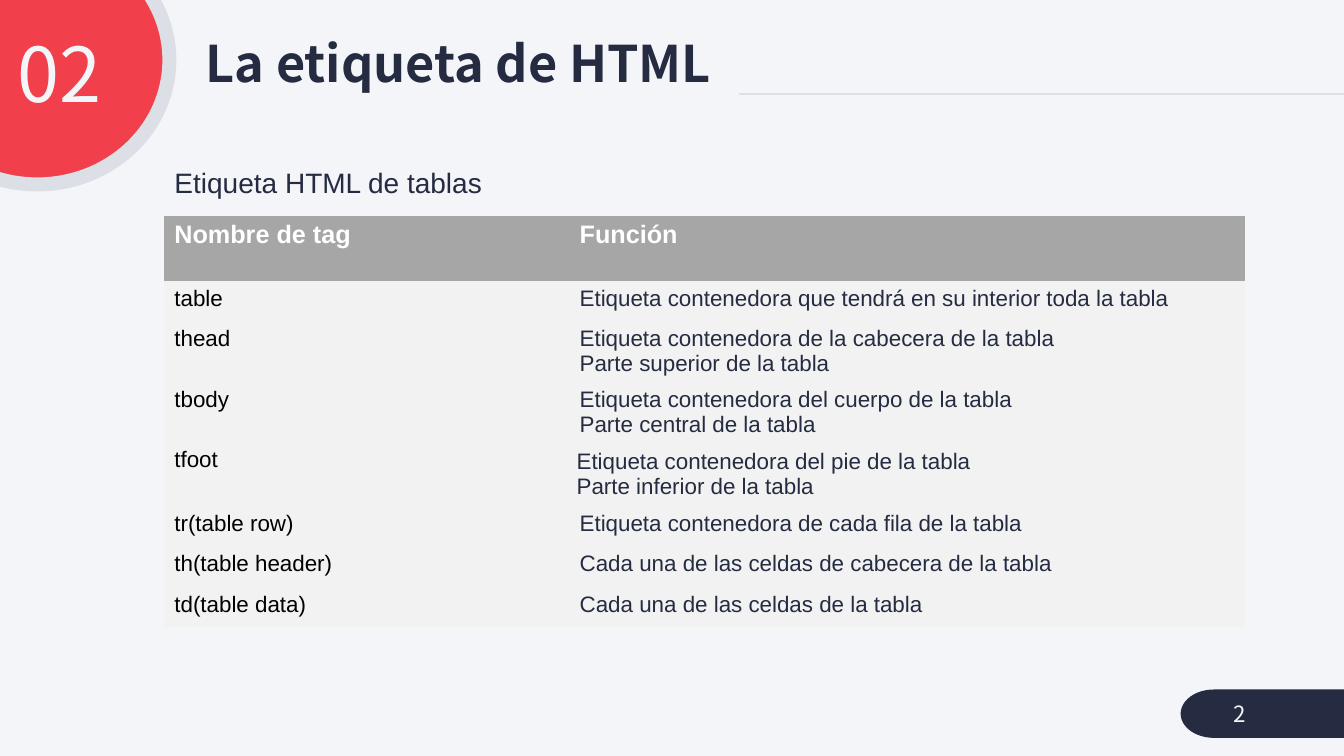
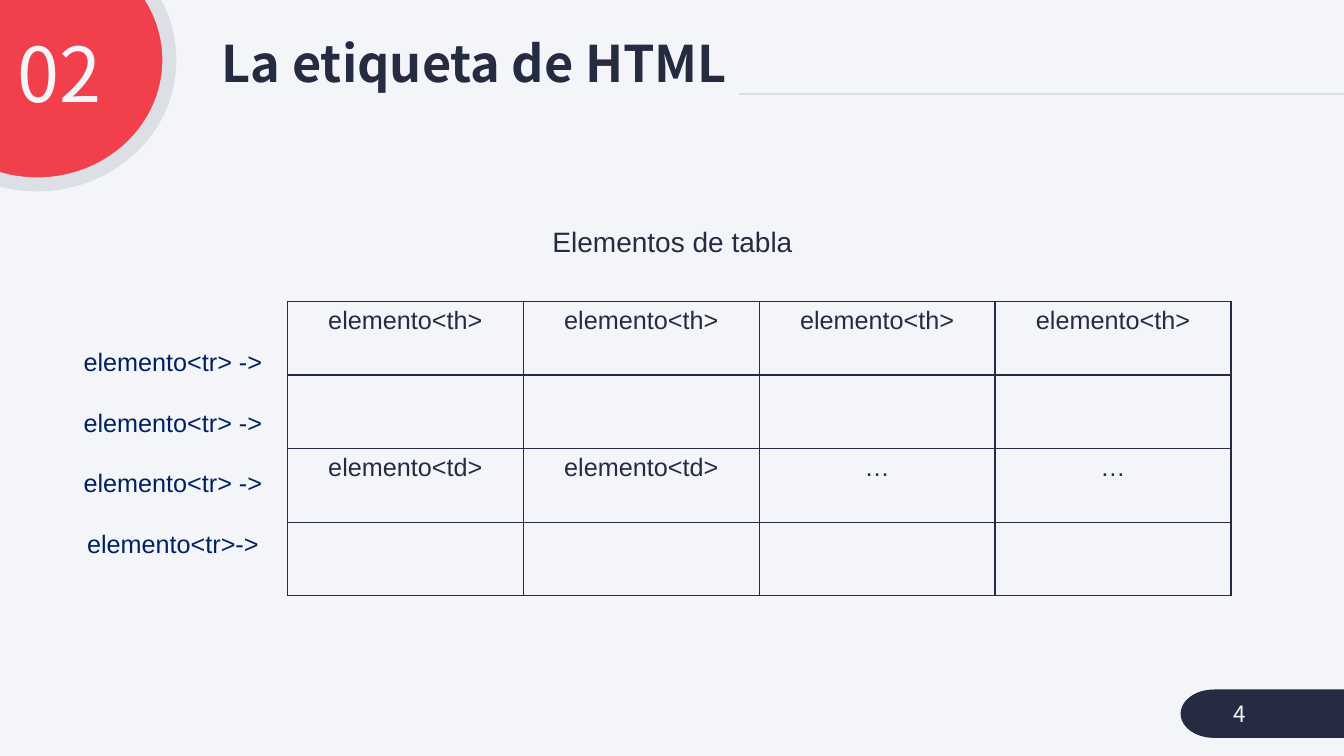
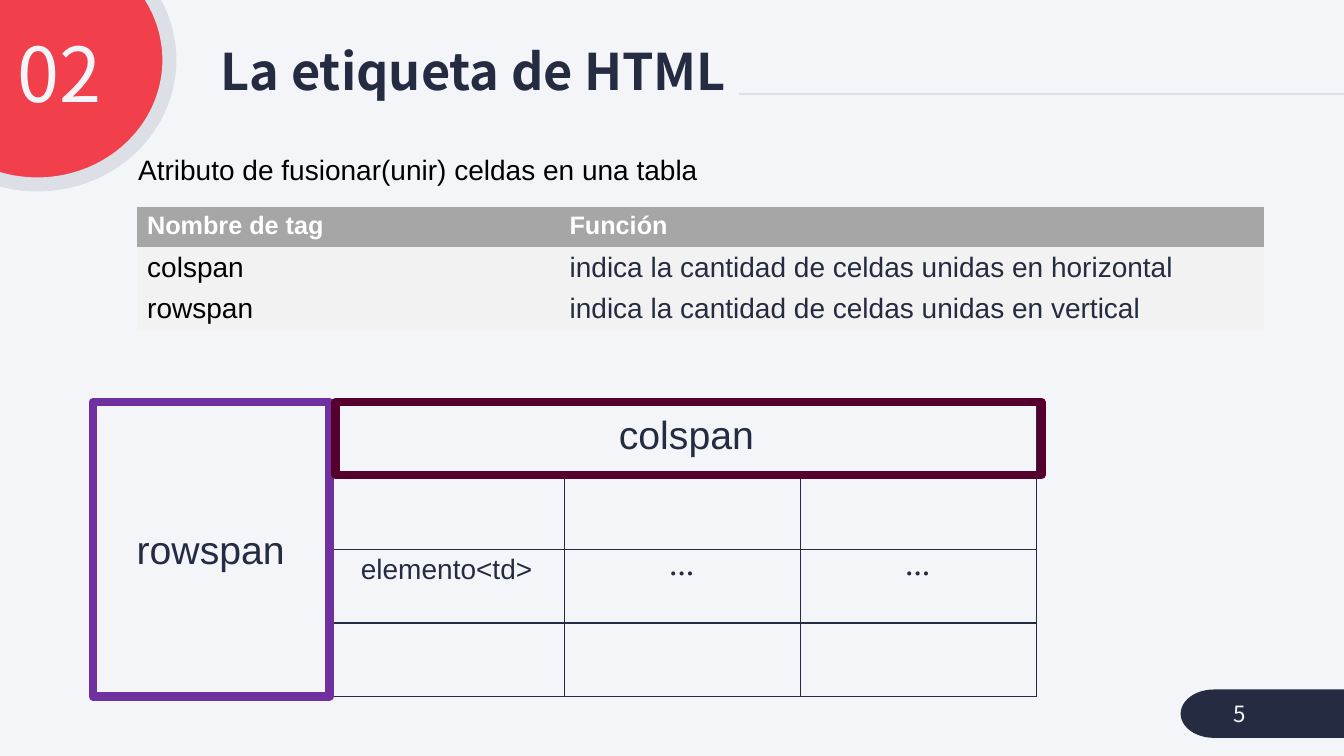
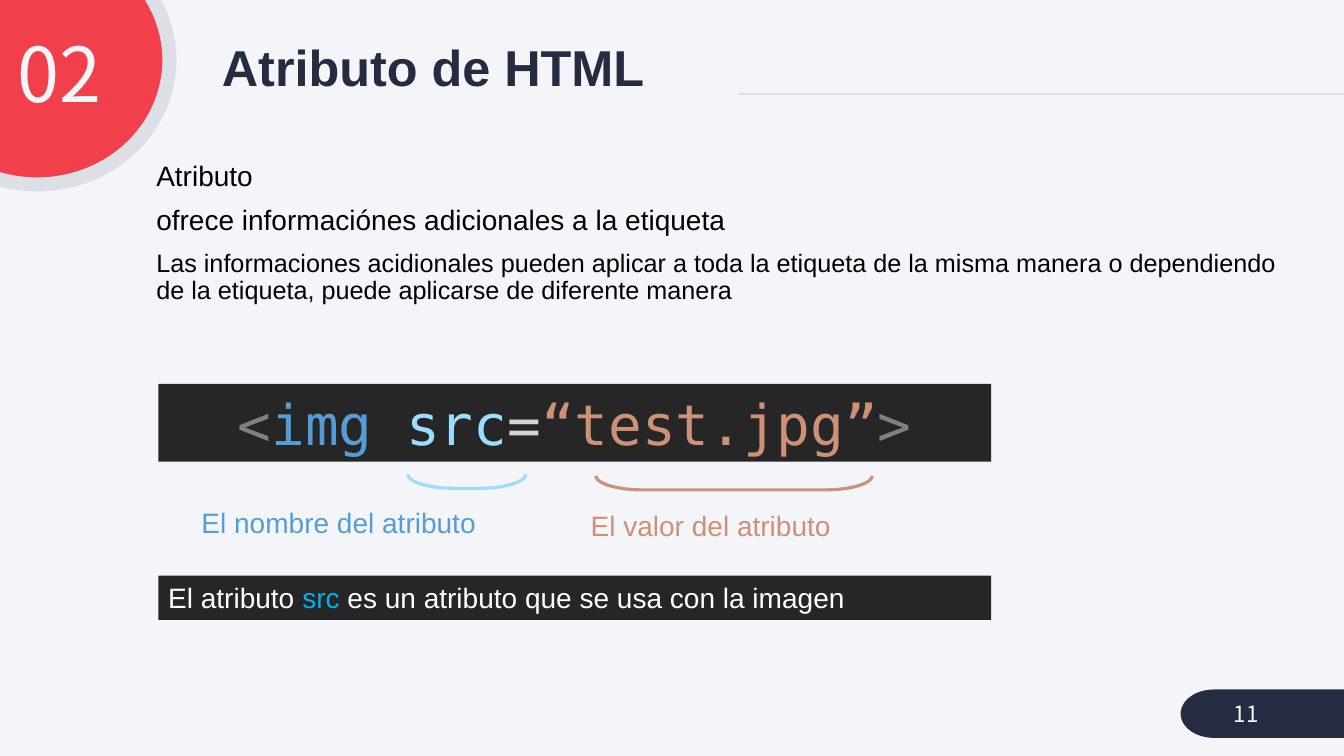
import pptx
import pptx.util
import pptx.dml.color
import pptx.enum.shapes
import pptx.enum.text
import pptx.oxml.ns
from lxml import etree

Inches = pptx.util.Inches
Pt = pptx.util.Pt
RGBColor = pptx.dml.color.RGBColor
MSO_SHAPE = pptx.enum.shapes.MSO_SHAPE
PP_ALIGN = pptx.enum.text.PP_ALIGN
MSO_ANCHOR = pptx.enum.text.MSO_ANCHOR
qn = pptx.oxml.ns.qn

PAPER = RGBColor(0xF4, 0xF5, 0xF9)
NAVY = RGBColor(0x25, 0x2C, 0x41)
RED = RGBColor(0xF1, 0x40, 0x4B)
MIST = RGBColor(0xDD, 0xDF, 0xE6)
BLACK = RGBColor(0x00, 0x00, 0x00)
WHITE = RGBColor(0xFF, 0xFF, 0xFF)
HEADER_GRAY = RGBColor(0xA6, 0xA6, 0xA6)
ROW_GRAY = RGBColor(0xF2, 0xF2, 0xF2)
ROW_LABEL_BLUE = RGBColor(0x00, 0x20, 0x60)
PURPLE = RGBColor(0x70, 0x30, 0xA0)
MAROON = RGBColor(0x56, 0x00, 0x2D)
CODE_BACK = RGBColor(0x26, 0x26, 0x26)
CODE_GRAY = RGBColor(0x80, 0x80, 0x80)
CODE_TAG = RGBColor(0x56, 0x9C, 0xD6)
CODE_NAME = RGBColor(0x9C, 0xDC, 0xFE)
CODE_EQUAL = RGBColor(0xD4, 0xD4, 0xD4)
CODE_VALUE = RGBColor(0xCE, 0x91, 0x78)
SRC_BLUE = RGBColor(0x00, 0xB0, 0xF0)

NOTO = "Noto Sans CJK KR"
ARIAL = "Arial"
MONO = "DejaVu Sans Mono"
NO_GRID_STYLE = "{2D5ABB26-0587-4C30-8999-92F81FD0307C}"


def write(frame, text, size=20, color=NAVY, font=ARIAL, bold=False, align=PP_ALIGN.LEFT,
          spacing=None, before=None, anchor=None, wrap=True):
    frame.word_wrap = wrap
    frame.auto_size = pptx.enum.text.MSO_AUTO_SIZE.NONE
    if anchor is not None:
        frame.vertical_anchor = anchor
    lines = text.split("\n") if isinstance(text, str) else text
    for index, line in enumerate(lines):
        paragraph = frame.add_paragraph() if index else frame.paragraphs[0]
        paragraph.alignment = align
        paragraph.line_spacing = spacing
        paragraph.space_before = before
        for words, shade in [(line, color)] if isinstance(line, str) else line:
            run = paragraph.add_run()
            run.text = words
            run.font.size = Pt(size)
            run.font.name = font
            run.font.bold = bold
            run.font.color.rgb = shade


def place_table(slide, left, top, widths, heights, rows, size, grid=False):
    frame = slide.shapes.add_table(len(heights), len(widths), Inches(left), Inches(top),
                                   Inches(sum(widths)), Inches(sum(heights)))
    frame.element.find(".//" + qn("a:tableStyleId")).text = NO_GRID_STYLE
    table = frame.table
    for column, width in zip(table.columns, widths):
        column.width = Inches(width)
    for r, height in enumerate(heights):
        table.rows[r].height = Inches(height)
        for c, text in enumerate(rows[r]):
            cell = table.cell(r, c)
            if grid:
                for side in ("a:lnL", "a:lnR", "a:lnT", "a:lnB"):
                    border = etree.SubElement(cell._tc.get_or_add_tcPr(), qn(side), w="12700")
                    fill = etree.SubElement(border, qn("a:solidFill"))
                    etree.SubElement(fill, qn("a:srgbClr"), val=str(NAVY))
                cell.fill.background()
                if text:
                    write(cell.text_frame, text, size=size, align=PP_ALIGN.CENTER)
            else:
                cell.fill.solid()
                cell.fill.fore_color.rgb = ROW_GRAY if r else HEADER_GRAY
                if r:
                    write(cell.text_frame, text, size=size, color=NAVY if c else BLACK)
                else:
                    write(cell.text_frame, text, size=18, color=WHITE, bold=True)
    return table


prs = pptx.Presentation()
prs.slide_width = Inches(13.33)
prs.slide_height = Inches(7.5)

first_level = prs.slide_master.element.find(".//" + qn("p:bodyStyle") + "/" + qn("a:lvl1pPr"))
first_level.set("marL", "0")
first_level.set("indent", "0")
bullet = first_level.find(qn("a:buChar"))
first_level.replace(bullet, etree.Element(qn("a:buNone")))

layout = prs.slide_layouts[3]
layout.background.fill.solid()
layout.background.fill.fore_color.rgb = PAPER
for placeholder in list(layout.placeholders)[3:]:
    layout.shapes.element.remove(placeholder.element)

HTML_TITLE = "La etiqueta de HTML"
pages = [
    (HTML_TITLE, NOTO, 1.94, 0.32, "2", 1.63, 1.63),
    (HTML_TITLE, NOTO, 2.1, 0.32, "4", 0.92, 2.21),
    (HTML_TITLE, NOTO, 2.09, 0.4, "5", 1.27, 1.5),
    ("Atributo de HTML", ARIAL, 2.1, 0.36, "11", 1.45, 1.56),
]
slides = []
for title, title_font, title_left, title_top, number, body_left, body_top in pages:
    slide = prs.slides.add_slide(layout)
    slides.append(slide)
    heading, chapter, body = slide.placeholders
    for part, left, top, width, height in [
        (heading, title_left, title_top, 7, 0.67),
        (chapter, -0.11, 0.32, 1.22, 0.92),
        (body, body_left, body_top, 11.5, 4.76),
    ]:
        part.left, part.top = Inches(left), Inches(top)
        part.width, part.height = Inches(width), Inches(height)
    write(heading.text_frame, title, size=36, font=title_font, bold=True, spacing=0.9,
          anchor=MSO_ANCHOR.MIDDLE)
    write(chapter.text_frame, "02", size=54, color=PAPER, font=NOTO, align=PP_ALIGN.RIGHT,
          spacing=0.9, before=Pt(10))
    page_number = slide.shapes.add_textbox(Inches(12.14), Inches(6.88), Inches(1.09), Inches(0.4))
    write(page_number.text_frame, number, size=16, color=PAPER, font=NOTO,
          anchor=MSO_ANCHOR.MIDDLE)

tags_slide, elements_slide, merge_slide, attribute_slide = slides

title_rule = tags_slide.shapes.add_connector(
    pptx.enum.shapes.MSO_CONNECTOR.STRAIGHT, Inches(7.33), Inches(0.93), Inches(13.33), Inches(0.93))
title_rule.line.color.rgb = MIST
title_rule.line.width = Pt(1.5)
etree.SubElement(title_rule.element.spPr, qn("a:effectLst"))
chapter_disc = tags_slide.shapes.add_shape(
    MSO_SHAPE.OVAL, Inches(-0.94), Inches(-0.64), Inches(2.62), Inches(2.47))
chapter_disc.line.color.rgb = MIST
chapter_disc.line.width = Pt(10)
number_tab = tags_slide.shapes.add_shape(
    MSO_SHAPE.FLOWCHART_TERMINATOR, Inches(11.71), Inches(6.84), Inches(2.05), Inches(0.48))
number_tab.line.fill.background()
for part, color in [(chapter_disc, RED), (number_tab, NAVY)]:
    part.shadow.inherit = False
    part.fill.solid()
    part.fill.fore_color.rgb = color
for position, part in enumerate([title_rule, chapter_disc, number_tab], start=2):
    layout.shapes.element.insert(position, part.element)

write(tags_slide.placeholders[2].text_frame, "Etiqueta HTML de tablas", spacing=0.9, before=Pt(10))
tags = [
    ("Nombre de tag", "Función"),
    ("table", "Etiqueta contenedora que tendrá en su interior toda la tabla"),
    ("thead", "Etiqueta contenedora de la cabecera de la tabla\nParte superior de la tabla"),
    ("tbody", "Etiqueta contenedora del cuerpo de la tabla\nParte central de la tabla"),
    ("tfoot", "Etiqueta contenedora del pie de la tabla\nParte inferior de la tabla"),
    ("tr(table row)", "Etiqueta contenedora de cada fila de la tabla"),
    ("th(table header)", "Cada una de las celdas de cabecera de la tabla"),
    ("td(table data)", "Cada una de las celdas de la tabla"),
]
tag_table = place_table(tags_slide, 1.63, 2.14, [4.02, 6.7],
                        [0.65, 0.4, 0.6, 0.6, 0.62, 0.4, 0.4, 0.4], tags, 16)
foot_cell = tag_table.cell(4, 1)
foot_cell.vertical_anchor = MSO_ANCHOR.MIDDLE
foot_cell.margin_left = foot_cell.margin_right = Inches(0.07)
foot_cell.margin_top = foot_cell.margin_bottom = Inches(0.07)

write(elements_slide.placeholders[2].text_frame, "Elementos de tabla", align=PP_ALIGN.CENTER,
      spacing=0.9, before=Pt(10))
row_labels = elements_slide.shapes.add_textbox(Inches(0.63), Inches(3.09), Inches(2.17), Inches(2.93))
write(row_labels.text_frame, ["elemento<tr> ->"] * 3 + ["elemento<tr>->"], size=18,
      color=ROW_LABEL_BLUE, align=PP_ALIGN.CENTER, spacing=2.0)
grid_columns = [2.34] * 4
grid_rows = [0.73] * 4
blank = [""] * 4
place_table(elements_slide, 2.85, 2.99, grid_columns, grid_rows,
            [["elemento<th>"] * 4, blank, ["elemento<td>"] * 2 + ["…"] * 2, blank], 18, grid=True)

write(merge_slide.placeholders[2].text_frame, "Atributo de fusionar(unir) celdas en una tabla",
      color=BLACK, spacing=0.9, before=Pt(10))
spans = [
    ("Nombre de tag", "Función"),
    ("colspan", "indica la cantidad de celdas unidas en horizontal"),
    ("rowspan", "indica la cantidad de celdas unidas en vertical"),
]
place_table(merge_slide, 1.36, 2.05, [4.19, 6.99], [0.4] * 3, spans, 20)
merged_grid = place_table(merge_slide, 0.92, 3.99, grid_columns, grid_rows,
                          [blank, blank, ["", "elemento<td>", "", ""], blank], 20, grid=True)
merged_grid.cell(0, 0).merge(merged_grid.cell(3, 0))
merged_grid.cell(0, 1).merge(merged_grid.cell(0, 3))
for column in (2, 3):
    write(merged_grid.cell(2, column).text_frame, "…", size=18, font=NOTO, bold=True,
          align=PP_ALIGN.CENTER)
for label, color, outline_box, label_box, align in [
    ("rowspan", PURPLE, (0.92, 3.99, 2.35, 2.92), (1.01, 5.16, 2.16, 0.57), PP_ALIGN.CENTER),
    ("colspan", MAROON, (3.33, 3.99, 7, 0.72), (6.04, 4.02, 2.57, 0.57), PP_ALIGN.LEFT),
]:
    outline = merge_slide.shapes.add_shape(MSO_SHAPE.RECTANGLE, *map(Inches, outline_box))
    outline.shadow.inherit = False
    outline.fill.background()
    outline.line.color.rgb = color
    outline.line.width = Pt(6)
    span_label = merge_slide.shapes.add_textbox(*map(Inches, label_box))
    write(span_label.text_frame, label, size=28, align=align)

explanation = attribute_slide.placeholders[2].text_frame
write(explanation, [
    "Atributo",
    "ofrece informaciónes adicionales a la etiqueta",
    "Las informaciones acidionales pueden aplicar a toda la etiqueta de la misma manera o "
    "dependiendo de la etiqueta, puede aplicarse de diferente manera",
], color=BLACK, spacing=0.9, before=Pt(10))
explanation.paragraphs[2].runs[0].font.size = Pt(18)

code = [("<", CODE_GRAY), ("img ", CODE_TAG), ("src", CODE_NAME), ("=", CODE_EQUAL),
        ("“test.jpg”", CODE_VALUE), (">", CODE_GRAY)]
remark = [("El atributo ", WHITE), ("src", SRC_BLUE),
          (" es un atributo que se usa con la imagen", WHITE)]
for runs, top, height, size, font, align in [
    (code, 3.81, 0.77, 40, MONO, PP_ALIGN.CENTER),
    (remark, 5.71, 0.44, 20, ARIAL, PP_ALIGN.LEFT),
]:
    bar = attribute_slide.shapes.add_shape(
        MSO_SHAPE.RECTANGLE, Inches(1.57), Inches(top), Inches(8.26), Inches(height))
    bar.shadow.inherit = False
    bar.fill.solid()
    bar.fill.fore_color.rgb = CODE_BACK
    bar.line.fill.background()
    write(bar.text_frame, [runs], size=size, font=font, align=align)

for label, bracket_color, label_color, bracket_box, label_box in [
    ("El nombre del atributo", CODE_NAME, CODE_TAG, (4.56, 4.19, 0.14, 1.17), (1.9, 4.97, 2.94, 0.44)),
    ("El valor del atributo", CODE_VALUE, CODE_VALUE, (7.21, 3.42, 0.14, 2.74), (5.76, 5, 2.6, 0.44)),
]:
    bracket = attribute_slide.shapes.add_shape(MSO_SHAPE.LEFT_BRACKET, *map(Inches, bracket_box))
    bracket.rotation = 270
    bracket.adjustments[0] = 3.35
    bracket.shadow.inherit = False
    bracket.fill.background()
    bracket.line.color.rgb = bracket_color
    bracket.line.width = Pt(2.25)
    attribute_label = attribute_slide.shapes.add_textbox(*map(Inches, label_box))
    write(attribute_label.text_frame, label, color=label_color, wrap=False)

prs.save("out.pptx")
